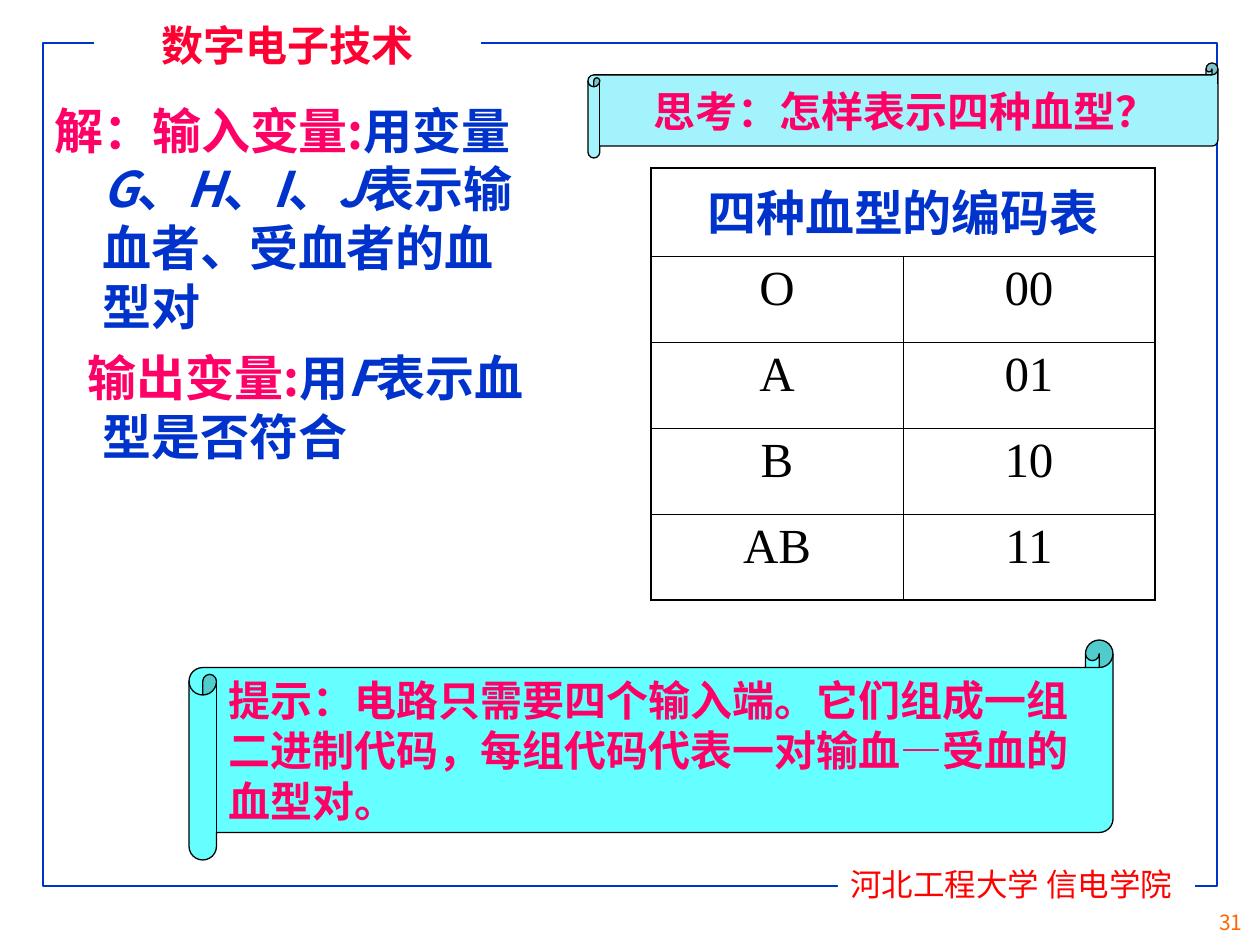
"""Build the blood type coding slide."""
from lxml.etree import SubElement
from pptx import Presentation
from pptx.dml.color import RGBColor
from pptx.enum.shapes import MSO_SHAPE
from pptx.enum.text import MSO_ANCHOR, PP_ALIGN
from pptx.oxml.ns import qn
from pptx.util import Emu, Pt

PX = 914400 / 126
COLORS = {
    "blue": "0033CC", "pink": "FF0066", "red": "FF0000", "title": "FF0033",
    "orange": "FF6600", "black": "000000", "white": "FFFFFF",
    "pale": "A2F3FC", "aqua": "66FFFF",
}


def px(*values):
    return [Emu(round(v * PX)) for v in values]


def style(r, font, size, color, bold=False, italic=False):
    r.font.name = font
    r.font.size = Pt(size)
    r.font.bold = bold
    r.font.italic = italic
    r.font.color.rgb = RGBColor.from_string(COLORS[color])


prs = Presentation()
prs.slide_width, prs.slide_height = px(1260, 945)
s = prs.slides.add_slide(prs.slide_layouts[6])

RECT, SCROLL = MSO_SHAPE.RECTANGLE, MSO_SHAPE.HORIZONTAL_SCROLL
LEFT, CENTER = PP_ALIGN.LEFT, PP_ALIGN.CENTER
TIP = "提示：电路只需要四个输入端。它们组成一组\n二进制代码，每组代码代表一对输血—受血的\n血型对。"
shapes = [
    (RECT, (43, 43, 1174, 843), None, "blue", 1, "", LEFT, None),
    (RECT, (838, 859, 357, 50), "white", None, 0, "河北工程大学 信电学院", LEFT,
     ("Times New Roman", 18, "red")),
    (RECT, (94, 13, 387, 63), "white", None, 0, "数字电子技术", CENTER,
     ("Comic Neue", 24, "title", True)),
    (SCROLL, (588, 63, 630, 95), "pale", "black", 0.75, "思考：怎样表示四种血型？", CENTER,
     ("Arial", 24, "pink", True)),
    (SCROLL, (189, 640, 924, 220), "aqua", "black", 0.75, TIP, LEFT,
     ("Arial", 24, "pink", True)),
]
for kind, place, fill, line, width, text, align, look in shapes:
    sp = s.shapes.add_shape(kind, *px(*place))
    sp.shadow.inherit = False
    if fill:
        sp.fill.solid()
        sp.fill.fore_color.rgb = RGBColor.from_string(COLORS[fill])
    else:
        sp.fill.background()
    if line:
        sp.line.color.rgb = RGBColor.from_string(COLORS[line])
        sp.line.width = Pt(width)
    else:
        sp.line.fill.background()
    if text:
        tf = sp.text_frame
        tf.text = text
        tf.word_wrap = kind == RECT
        tf.vertical_anchor = MSO_ANCHOR.TOP if kind == RECT else MSO_ANCHOR.MIDDLE
        for p in tf.paragraphs:
            p.alignment = align
            style(p.runs[0], *look)

tf = s.shapes.add_textbox(*px(1207, 903, 50, 43)).text_frame
tf.text = "31"
tf.word_wrap = True
style(tf.paragraphs[0].runs[0], "Noto Sans CJK SC", 12, "orange")

tf = s.shapes.add_textbox(*px(42, 94, 504, 388)).text_frame
tf.word_wrap = True
body = [
    (-48, 0, ["解：输入变量:", "用变量", "G", "、", "H", "、", "I", "、", "J",
              "表示输血者、受血者的血型对"]),
    (-15, 7, ["输出变量:", "用", "F", "表示血型是否符合"]),
]
for i, (indent, before, parts) in enumerate(body):
    p = tf.add_paragraph() if i else tf.paragraphs[0]
    margin, first = px(48, indent)
    p._p.get_or_add_pPr().set("marL", str(margin))
    p._p.get_or_add_pPr().set("indent", str(first))
    p.space_before = Pt(before)
    for j, part in enumerate(parts):
        r = p.add_run()
        r.text = part
        style(r, "Noto Sans CJK SC", 28, "blue" if j else "pink", True, part in "GHIJF")

rows = [("四种血型的编码表", ""), ("O", "00"), ("A", "01"), ("B", "10"), ("AB", "11")]
tbl = s.shapes.add_table(5, 2, *px(651, 168, 504, 432)).table
tbl.first_row = tbl.horz_banding = False
for col in tbl.columns:
    col.width = px(252)[0]
for i, values in enumerate(rows):
    tbl.rows[i].height = px(86 if i else 88)[0]
    for j, value in enumerate(values):
        cell = tbl.cell(i, j)
        tcPr = cell._tc.get_or_add_tcPr()
        outer = {"lnL": j == 0, "lnR": j == 1 or i == 0, "lnT": i == 0, "lnB": i == 4}
        for tag, edge in outer.items():
            ln = SubElement(tcPr, qn("a:" + tag), w=str(Pt(1.08 if edge else 0.45)))
            SubElement(SubElement(ln, qn("a:solidFill")), qn("a:srgbClr"), val=COLORS["black"])
        cell.fill.background()
        if value:
            cell.text = value
            p = cell.text_frame.paragraphs[0]
            p.alignment = CENTER
            style(p.runs[0], "Times New Roman", 28, "black" if i else "blue", i == 0)
tbl.cell(0, 0).merge(tbl.cell(0, 1))

prs.save("out.pptx")
